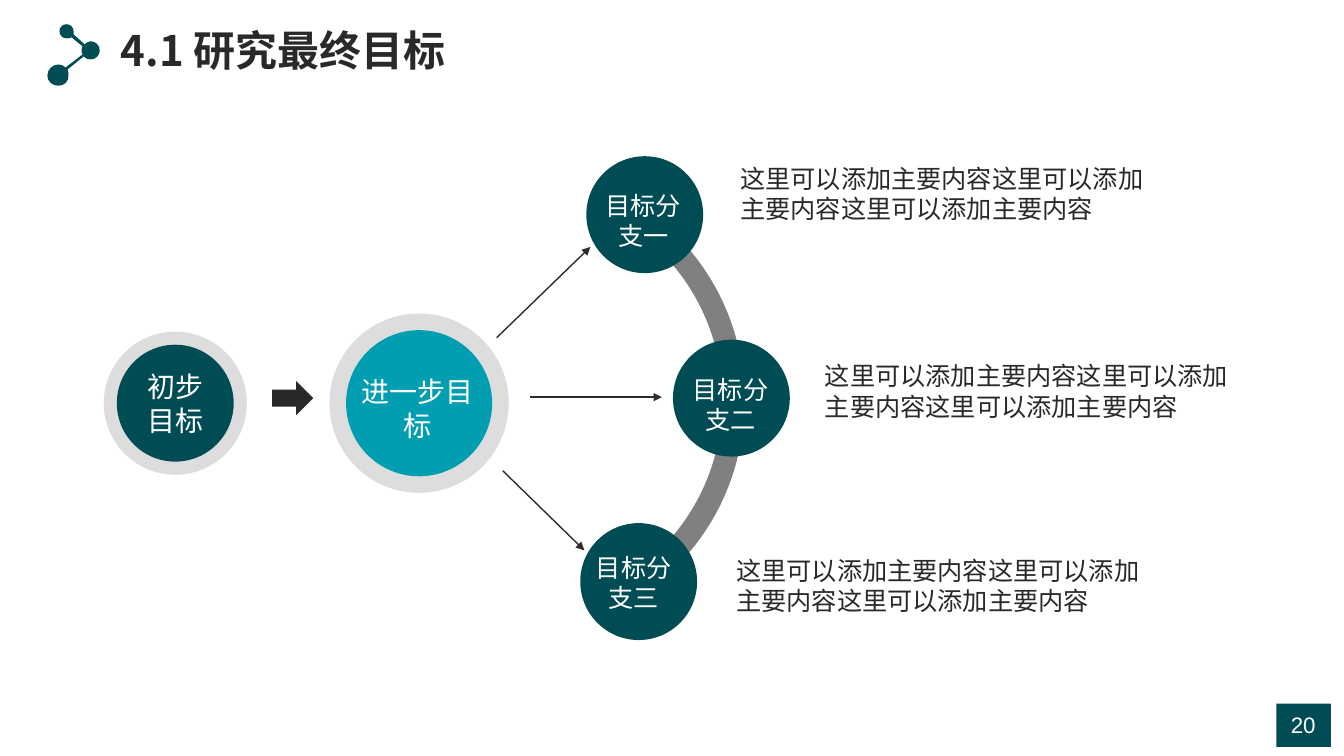
from dataclasses import dataclass

from lxml.etree import SubElement
from pptx import Presentation
from pptx.dml.color import RGBColor
from pptx.enum.shapes import MSO_CONNECTOR as Link, MSO_SHAPE as Kind
from pptx.enum.text import MSO_ANCHOR as Anchor, PP_ALIGN as Align
from pptx.oxml.ns import qn
from pptx.util import Inches, Pt

HUES = {
    "dark": "004C54",
    "teal": "009EB0",
    "ring": "DDDDDD",
    "arc": "808080",
    "ink": "292929",
    "line": "2E2C2C",
    "white": "FFFFFF",
}
SANS = "Noto Sans CJK SC"
NOTE = "这里可以添加主要内容" * 3
DISC = 1.16


@dataclass
class Box:
    x: float
    y: float
    w: float
    h: float


@dataclass
class Goal:
    text: str
    x: float
    y: float
    rim: float
    size: float
    hue: str
    label: Box


@dataclass
class Branch:
    text: str
    x: float
    y: float
    label: Box
    note: Box
    tip: tuple[float, float]
    root: tuple[float, float]


GOALS = [
    Goal("初步目标", 1.74, 4, 1.42, DISC, "dark", Box(1.35, 3.62, 0.79, 0.77)),
    Goal("进一步目标", 4.16, 4, 1.78, 1.45, "teal", Box(3.44, 3.67, 1.41, 0.77)),
]
BRANCHES = [
    Branch("目标分支一", 6.4, 2.13, Box(5.88, 1.84, 1.01, 0.7),
           Box(7.25, 1.57, 4.37, 0.7), (5.86, 2.45), (4.93, 3.35)),
    Branch("目标分支二", 7.26, 3.95, Box(6.76, 3.66, 0.98, 0.7),
           Box(8.09, 3.53, 4.25, 0.7), (6.57, 3.94), (5.26, 3.94)),
    Branch("目标分支三", 6.34, 5.77, Box(5.8, 5.43, 0.98, 0.7),
           Box(7.21, 5.46, 4.25, 0.7), (5.8, 5.46), (4.99, 4.67)),
]
ICON = [
    (0.58, 0.64), (0.61, 0.64, 0.63, 0.65, 0.65, 0.67),
    (0.82, 0.54), (0.81, 0.53, 0.81, 0.51, 0.81, 0.5),
    (0.81, 0.49, 0.81, 0.47, 0.82, 0.46),
    (0.71, 0.37), (0.7, 0.38, 0.68, 0.38, 0.66, 0.38),
    (0.62, 0.38, 0.59, 0.35, 0.59, 0.31), (0.59, 0.27, 0.62, 0.24, 0.66, 0.24),
    (0.7, 0.24, 0.73, 0.27, 0.73, 0.31), (0.73, 0.32, 0.73, 0.33, 0.73, 0.34),
    (0.84, 0.44), (0.86, 0.42, 0.88, 0.41, 0.9, 0.41),
    (0.95, 0.41, 0.99, 0.45, 0.99, 0.5), (0.99, 0.55, 0.95, 0.59, 0.9, 0.59),
    (0.87, 0.59, 0.85, 0.58, 0.83, 0.56),
    (0.67, 0.69), (0.68, 0.71, 0.68, 0.73, 0.68, 0.75),
    (0.68, 0.81, 0.64, 0.85, 0.58, 0.85), (0.52, 0.85, 0.47, 0.81, 0.47, 0.75),
    (0.47, 0.69, 0.52, 0.64, 0.58, 0.64),
]
ARC = [
    (6.13, 2.16), (6.75, 2.53, 7.17, 3.2, 7.17, 3.97),
    (7.17, 4.73, 6.77, 5.39, 6.16, 5.76),
    (6.28, 5.96), (6.95, 5.55, 7.39, 4.82, 7.39, 3.97),
    (7.39, 3.12, 6.93, 2.37, 6.24, 1.97), (6.13, 2.16),
]


def tint(name: str) -> RGBColor:
    return RGBColor.from_string(HUES[name])


def paint(shape, hue: str) -> None:
    shape.shadow.inherit = False
    shape.fill.solid()
    shape.fill.fore_color.rgb = tint(hue)
    shape.line.fill.background()


def place(shape, box: Box) -> None:
    shape.left, shape.top = Inches(box.x), Inches(box.y)
    shape.width, shape.height = Inches(box.w), Inches(box.h)


def draw(slide, kind: Kind, box: Box, hue: str) -> None:
    shape = slide.shapes.add_shape(kind, 0, 0, 0, 0)
    place(shape, box)
    paint(shape, hue)


def disc(slide, x: float, y: float, size: float, hue: str) -> None:
    draw(slide, Kind.OVAL, Box(x - size / 2, y - size / 2, size, size), hue)


def style(para, size: int, hue: str, face: str = SANS, bold: bool = False) -> None:
    font = para.font
    font.size, font.bold, font.name = Pt(size), bold, face
    font.color.rgb = tint(hue)
    props = para._p.pPr.find(qn("a:defRPr"))
    SubElement(props, qn("a:ea")).set("typeface", face)


def write(slide, text: str, box: Box, size: int, hue: str,
          align: Align = Align.LEFT, face: str = SANS) -> None:
    shape = slide.shapes.add_textbox(0, 0, 0, 0)
    place(shape, box)
    frame = shape.text_frame
    frame.word_wrap = True
    frame.text = text
    para = frame.paragraphs[0]
    para.alignment = align
    style(para, size, hue, face)


def trace(slide, path: list[tuple[float, ...]], hue: str) -> None:
    parts = [[Inches(v) for v in part] for part in path]
    pen = slide.shapes.build_freeform(*parts[0])
    pen.add_line_segments([part[-2:] for part in parts[1:]], close=True)
    shape = pen.convert_to_shape()
    paint(shape, hue)
    sides = list(shape._element.iter(qn("a:lnTo")))
    for side, part in zip(sides, parts[1:]):
        if len(part) == 2:
            continue
        curve = side.makeelement(qn("a:cubicBezTo"))
        for x, y in zip(part[::2], part[1::2]):
            spot = SubElement(curve, qn("a:pt"))
            spot.set("x", str(x - shape.left))
            spot.set("y", str(y - shape.top))
        side.getparent().replace(side, curve)


def arrow(slide, tip: tuple[float, float], root: tuple[float, float]) -> None:
    ends = [Inches(v) for v in (*tip, *root)]
    link = slide.shapes.add_connector(Link.STRAIGHT, *ends)
    link.line.color.rgb = tint("line")
    link.line.width = Pt(1)
    SubElement(link.line._get_or_add_ln(), qn("a:headEnd")).set("type", "triangle")
    SubElement(link._element.spPr, qn("a:effectLst"))


def head(slide) -> None:
    title = slide.shapes.title
    place(title, Box(1.1, 0.19, 3.5, 0.6))
    frame = title.text_frame
    frame.word_wrap = True
    frame.vertical_anchor = Anchor.TOP
    frame.text = "4.1 研究最终目标"
    para = frame.paragraphs[0]
    para.alignment = Align.LEFT
    style(para, 30, "ink", bold=True)


def main() -> None:
    deck = Presentation()
    deck.slide_width, deck.slide_height = Inches(13.34), Inches(7.5)
    slide = deck.slides.add_slide(deck.slide_layouts[5])
    draw(slide, Kind.RECTANGLE, Box(12.67, 6.98, 0.54, 0.43), "dark")
    write(slide, "20", Box(12.33, 7.01, 1.21, 0.37), 16, "white", Align.CENTER, "Arial")
    head(slide)
    trace(slide, ICON, "dark")
    trace(slide, ARC, "arc")
    for goal in GOALS:
        disc(slide, goal.x, goal.y, goal.rim, "ring")
        disc(slide, goal.x, goal.y, goal.size, goal.hue)
        write(slide, goal.text, goal.label, 20, "white", Align.CENTER)
    for item in BRANCHES:
        disc(slide, item.x, item.y, DISC, "dark")
        arrow(slide, item.tip, item.root)
        write(slide, item.text, item.label, 18, "white", Align.CENTER)
        write(slide, NOTE, item.note, 18, "ink")
    draw(slide, Kind.RIGHT_ARROW, Box(2.7, 3.78, 0.41, 0.34), "ink")
    deck.save("out.pptx")


if __name__ == "__main__":
    main()
